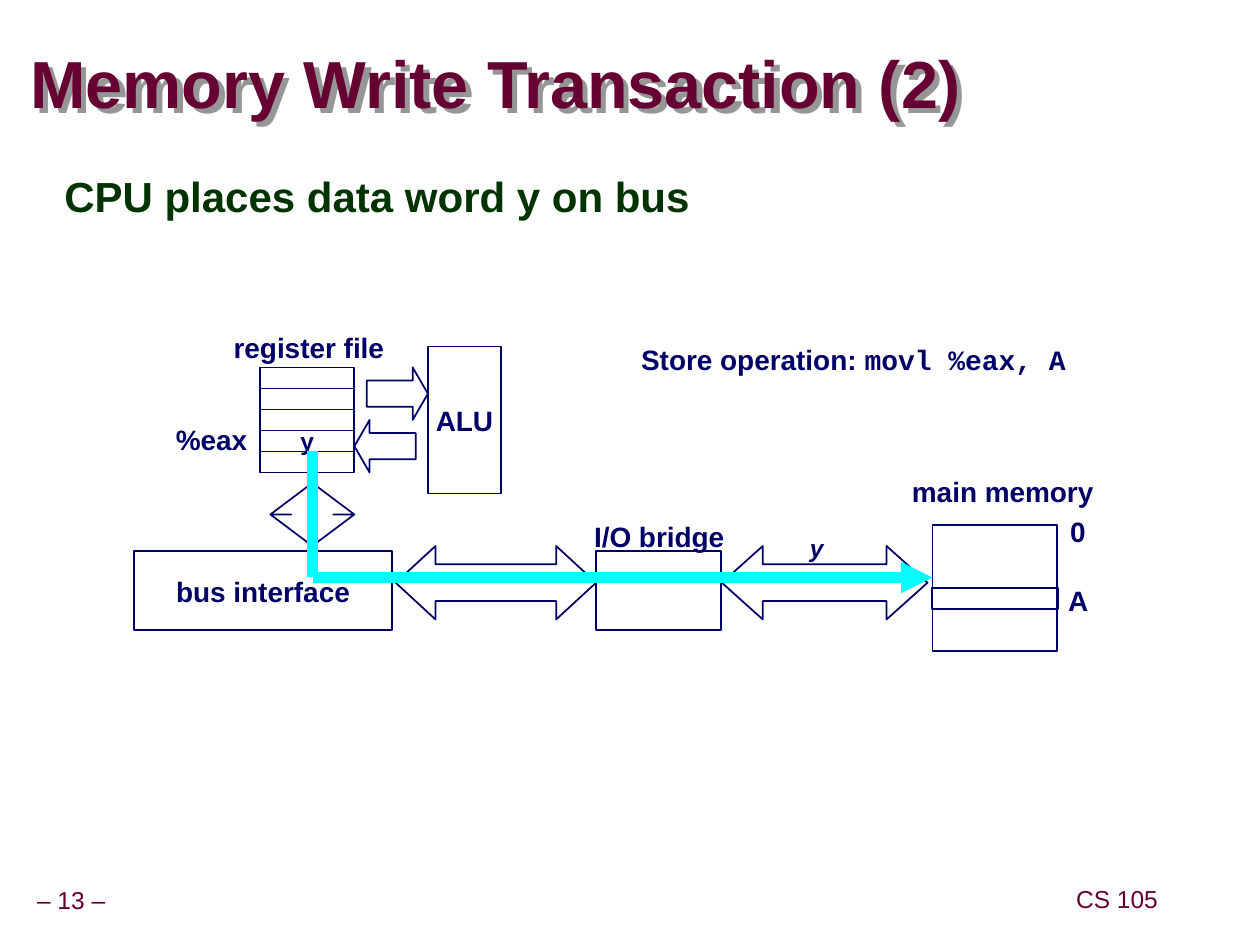
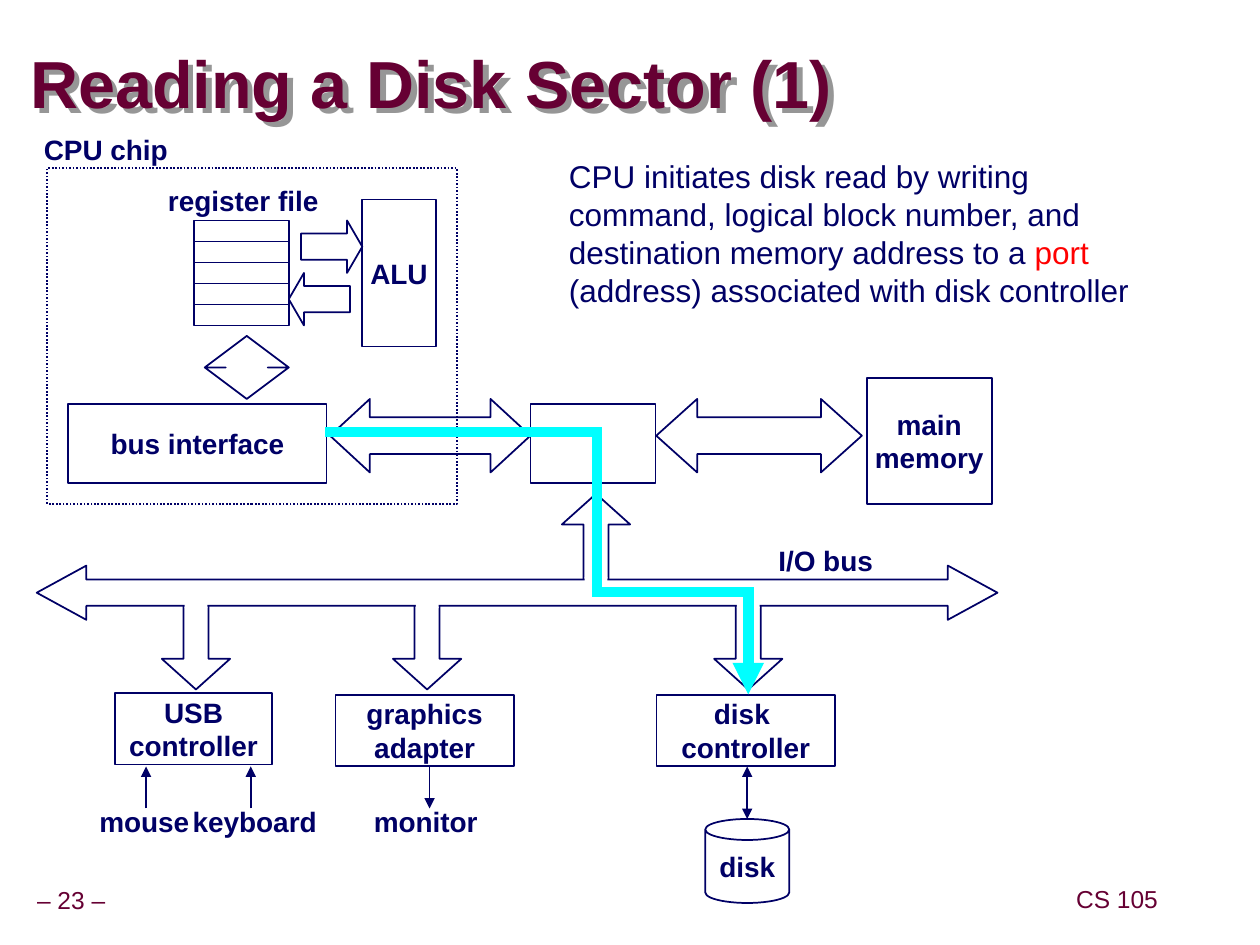
from dataclasses import dataclass
from itertools import pairwise

from lxml import etree
from pptx import Presentation
from pptx.dml.color import RGBColor
from pptx.enum.dml import MSO_LINE
from pptx.enum.shapes import MSO_CONNECTOR, MSO_SHAPE
from pptx.enum.text import MSO_ANCHOR, MSO_AUTO_SIZE, PP_ALIGN
from pptx.oxml.ns import qn
from pptx.util import Pt

RECT, CAN = MSO_SHAPE.RECTANGLE, MSO_SHAPE.CAN
LEFT_ARROW, RIGHT_ARROW = MSO_SHAPE.LEFT_ARROW, MSO_SHAPE.RIGHT_ARROW
UP_ARROW, DOWN_ARROW = MSO_SHAPE.UP_ARROW, MSO_SHAPE.DOWN_ARROW
WIDE_ARROW, TALL_ARROW = MSO_SHAPE.LEFT_RIGHT_ARROW, MSO_SHAPE.UP_DOWN_ARROW
STRAIGHT = MSO_CONNECTOR.STRAIGHT
LEFT, CENTER = PP_ALIGN.LEFT, PP_ALIGN.CENTER
TOP, MIDDLE = MSO_ANCHOR.TOP, MSO_ANCHOR.MIDDLE
GROW, FIXED = MSO_AUTO_SIZE.SHAPE_TO_FIT_TEXT, MSO_AUTO_SIZE.NONE
DOTTED = MSO_LINE.ROUND_DOT


@dataclass(frozen=True)
class Theme:
    font: str = "Arial"
    code_font: str = "Courier New"
    title: str = "660033"
    title_shadow: str = "969696"
    heading: str = "003300"
    ink: str = "000066"
    data: str = "00FFFF"
    accent: str = "FF0000"
    paper: str = "FFFFFF"
    title_size: float = 38
    heading_size: float = 24
    note_size: float = 18
    label_size: float = 16
    small_size: float = 14
    outline: float = 1
    data_width: float = 6
    label_slack: float = 4


THEME = Theme()


# --- Text ---
def add_run(paragraph, text, size=THEME.label_size, color=THEME.ink, bold=True,
            italic=False, font=THEME.font):
    run = paragraph.add_run()
    run.text = text
    run.font.name, run.font.size = font, Pt(size)
    run.font.bold, run.font.italic = bold, italic
    run.font.color.rgb = RGBColor.from_string(color)


def set_frame(frame, anchor=MIDDLE, margins=(7.2, 3.6), wrap=False, fit=FIXED):
    frame.word_wrap, frame.auto_size = wrap, fit
    frame.vertical_anchor = anchor
    frame.margin_left = frame.margin_right = Pt(margins[0])
    frame.margin_top = frame.margin_bottom = Pt(margins[1])


def add_text(slide, x, y, w, h, align=LEFT, spacing=None, **frame_options):
    """Add a text box and return it with its first paragraph."""
    box = slide.shapes.add_textbox(Pt(x), Pt(y), Pt(w), Pt(h))
    set_frame(box.text_frame, **frame_options)
    paragraph = box.text_frame.paragraphs[0]
    paragraph.alignment = align
    if spacing:
        paragraph.line_spacing = spacing
    return box, paragraph


def add_label(slide, text, x, y, w, h=26.6, **run_options):
    """Add centred text on one line, with some slack on both sides."""
    slack = THEME.label_slack
    _, paragraph = add_text(slide, x - slack, y, w + 2 * slack, h, CENTER)
    add_run(paragraph, text, **run_options)


# --- Shapes and lines ---
def add_block(slide, kind, x, y, w, h, lines=(), adjust=(), fill=None,
              outlined=True, dash=None, size=THEME.label_size):
    block = slide.shapes.add_shape(kind, Pt(x), Pt(y), Pt(w), Pt(h))
    block.shadow.inherit = False
    for index, value in enumerate(adjust):
        block.adjustments[index] = value
    if fill:
        block.fill.solid()
        block.fill.fore_color.rgb = RGBColor.from_string(fill)
    else:
        block.fill.background()
    if outlined:
        block.line.color.rgb = RGBColor.from_string(THEME.ink)
        block.line.width = Pt(THEME.outline)
        if dash:
            block.line.dash_style = dash
    else:
        block.line.fill.background()
    if lines:
        set_frame(block.text_frame)
    for index, text in enumerate(lines):
        paragraph = (block.text_frame.add_paragraph() if index
                     else block.text_frame.paragraphs[0])
        paragraph.alignment = CENTER
        add_run(paragraph, text, size)


def add_line(slide, start, end, color=THEME.ink, width=THEME.outline, heads=("tailEnd",)):
    line = slide.shapes.add_connector(STRAIGHT, *map(Pt, (*start, *end)))
    line.line.color.rgb = RGBColor.from_string(color)
    line.line.width = Pt(width)
    properties = line._element.spPr
    for head in heads:
        etree.SubElement(properties.find(qn("a:ln")), qn(f"a:{head}"), type="triangle")
    etree.SubElement(properties, qn("a:effectLst"))


def add_data_path(slide, points, overlap=0):
    """Draw a thick route with an arrowhead; overlap fills its corners."""
    for start, end in pairwise(points):
        last = end == points[-1]
        if not last:
            end = tuple(b + overlap * ((b > a) - (b < a)) for a, b in zip(start, end))
        add_line(slide, start, end, THEME.data, THEME.data_width,
                 ("tailEnd",) if last else ())


# --- Parts shared by the slides ---
def add_title(slide, text):
    box, paragraph = add_text(slide, 17.3, 19.4, 581, 61.2, spacing=0.87,
                              margins=(0, 0), wrap=True)
    add_run(paragraph, text, THEME.title_size, THEME.title)
    effects = etree.SubElement(box._element.spPr, qn("a:effectLst"))
    shadow = etree.SubElement(effects, qn("a:outerShdw"), dist=str(Pt(4.6)),
                              dir="2700000", algn="ctr", rotWithShape="0")
    etree.SubElement(shadow, qn("a:srgbClr"), val=THEME.title_shadow)


def start_slide(deck, title, number):
    slide = deck.slides.add_slide(deck.slide_layouts[6])
    for text, x, y, w in ((f"– {number} –", -6.5, 504, 94.3), ("CS 105", 608.3, 503.3, 60)):
        _, paragraph = add_text(slide, x, y, w, 22.3, CENTER, 0.9, margins=(3.6, 3.6))
        add_run(paragraph, text, THEME.small_size, THEME.title, bold=False)
    add_title(slide, title)
    return slide


def add_computer(slide, x, y, registers=("",) * 5, memory=()):
    """Draw CPU, buses, bridge and memory; x, y is the register file's corner."""
    add_block(slide, RECT, x + 384.3, y + 90, 71.4, 72, memory)
    add_block(slide, WIDE_ARROW, x + 264, y + 102, 117.5, 42, adjust=(0.5, 0.557))
    add_block(slide, RECT, x + 192.2, y + 105, 71.5, 45.2)
    add_block(slide, WIDE_ARROW, x + 77.6, y + 102, 114.5, 42, adjust=(0.5, 0.542))
    for row, content in enumerate(registers):
        add_block(slide, RECT, x, y + 12 * row, 54, 12, [content] if content else (),
                  size=THEME.small_size)
    add_block(slide, RIGHT_ARROW, x + 61, y, 35, 30, adjust=(0.5, 0.29))
    add_block(slide, LEFT_ARROW, x + 54, y + 30, 35, 30, adjust=(0.5, 0.29))
    add_block(slide, RECT, x + 96, y - 12, 42, 84, ["ALU"])
    add_label(slide, "register file", x - 22, y - 25, 100)
    # For this shape the head's length comes before the shaft's width
    add_block(slide, TALL_ARROW, x + 6, y + 66, 48, 36, adjust=(0.2, 0.5))
    add_block(slide, RECT, x - 72, y + 105, 147.6, 45.2, ["bus interface"])


# --- Slides ---
def build_memory_write(deck):
    slide = start_slide(deck, "Memory Write Transaction (2)", 13)
    _, heading = add_text(slide, 23, 96, 654.5, 411, spacing=0.95, anchor=TOP, wrap=True)
    add_run(heading, " CPU places data word y on bus", THEME.heading_size, THEME.heading)

    add_computer(slide, 148.5, 210, registers=("", "", "", "y", ""))
    add_label(slide, "y", 455.6, 301, 22.3, 24.5, size=THEME.small_size, italic=True)
    add_data_path(slide, [(178.6, 258), (178.6, 330), (532.8, 330)])
    add_block(slide, RECT, 532.5, 336, 72, 12)
    for text, x, y, w in (
        ("main memory", 514, 267.4, 118),
        ("0", 604.5, 290.2, 23),
        ("A", 603.2, 330, 26),
        ("%eax", 93.6, 237.6, 54.7),
        ("I/O bridge", 332.5, 293, 88.5),
    ):
        add_label(slide, text, x, y, w)

    _, operation = add_text(slide, 359.3, 192.4, 270, 46, anchor=TOP, wrap=True)
    add_run(operation, "Store operation: ")
    add_run(operation, "movl %eax, A", font=THEME.code_font)


def add_io_bus(slide, bridge_x, controllers):
    """Draw the bus with its branches, then open the joints with white patches."""
    branch = dict(w=39, h=54, adjust=(0.367, 0.449))
    add_block(slide, UP_ARROW, bridge_x - 19.5, 282.2, **branch)
    for lines, x, y, width in controllers:
        add_block(slide, DOWN_ARROW, x - 19.5, 340, **branch)
        add_block(slide, RECT, x - 1.4 - width / 2, y, width, 41, lines)
    add_block(slide, WIDE_ARROW, 21, 323.2, 549, 31, adjust=(0.486, 0.915), fill=THEME.paper)
    joints = [(bridge_x, 329.8)] + [(x, 335.5) for _, x, _, _ in controllers]
    for x, y in joints:
        add_block(slide, RECT, x - 6.5, y, 13, 12, fill=THEME.paper, outlined=False)
    add_label(slide, "I/O bus", 437.6, 306.7, 68.4)


def build_disk_read(deck):
    slide = start_slide(deck, "Reading a Disk Sector (1)", 23)
    add_computer(slide, 111, 126, memory=("main", "memory"))
    add_block(slide, RECT, 27, 96, 234, 192, dash=DOTTED)
    add_label(slide, "CPU chip", 18, 72, 85)

    add_io_bus(slide, 340.6, (
        (("USB", "controller"), 112, 396, 90),
        (("graphics", "adapter"), 244.1, 397, 102),
        (("disk ", "controller"), 427.6, 397, 102),
    ))

    # Devices below their controllers
    add_line(slide, (83.5, 462), (83.5, 438))
    add_line(slide, (143.3, 462), (143.3, 438))
    add_line(slide, (245.5, 438), (245.5, 462))
    add_line(slide, (427, 438), (427, 468), heads=("headEnd", "tailEnd"))
    for text, x, w in (("mouse", 49.7, 65.5), ("keyboard", 103, 85), ("monitor", 206.6, 73.4)):
        add_label(slide, text, x, 455.8, w)
    add_block(slide, CAN, 403, 468, 48, 48, ["disk"], adjust=(0.25,))

    add_data_path(slide, [(186, 247), (341.2, 247), (341.2, 338.4),
                          (427.6, 338.4), (427.6, 396.8)], overlap=3)

    _, note = add_text(slide, 318, 86.4, 346.3, 93.6, anchor=TOP, wrap=True, fit=GROW)
    for text, color in (
        ("CPU initiates disk read by writing command, logical block number, "
         "and destination memory address to a ", THEME.ink),
        ("port ", THEME.accent),
        ("(address) associated with disk controller", THEME.ink),
    ):
        add_run(note, text, THEME.note_size, color, bold=False)


def main():
    deck = Presentation()
    deck.slide_width, deck.slide_height = Pt(720), Pt(540)
    build_memory_write(deck)
    build_disk_read(deck)
    deck.save("out.pptx")


if __name__ == "__main__":
    main()
